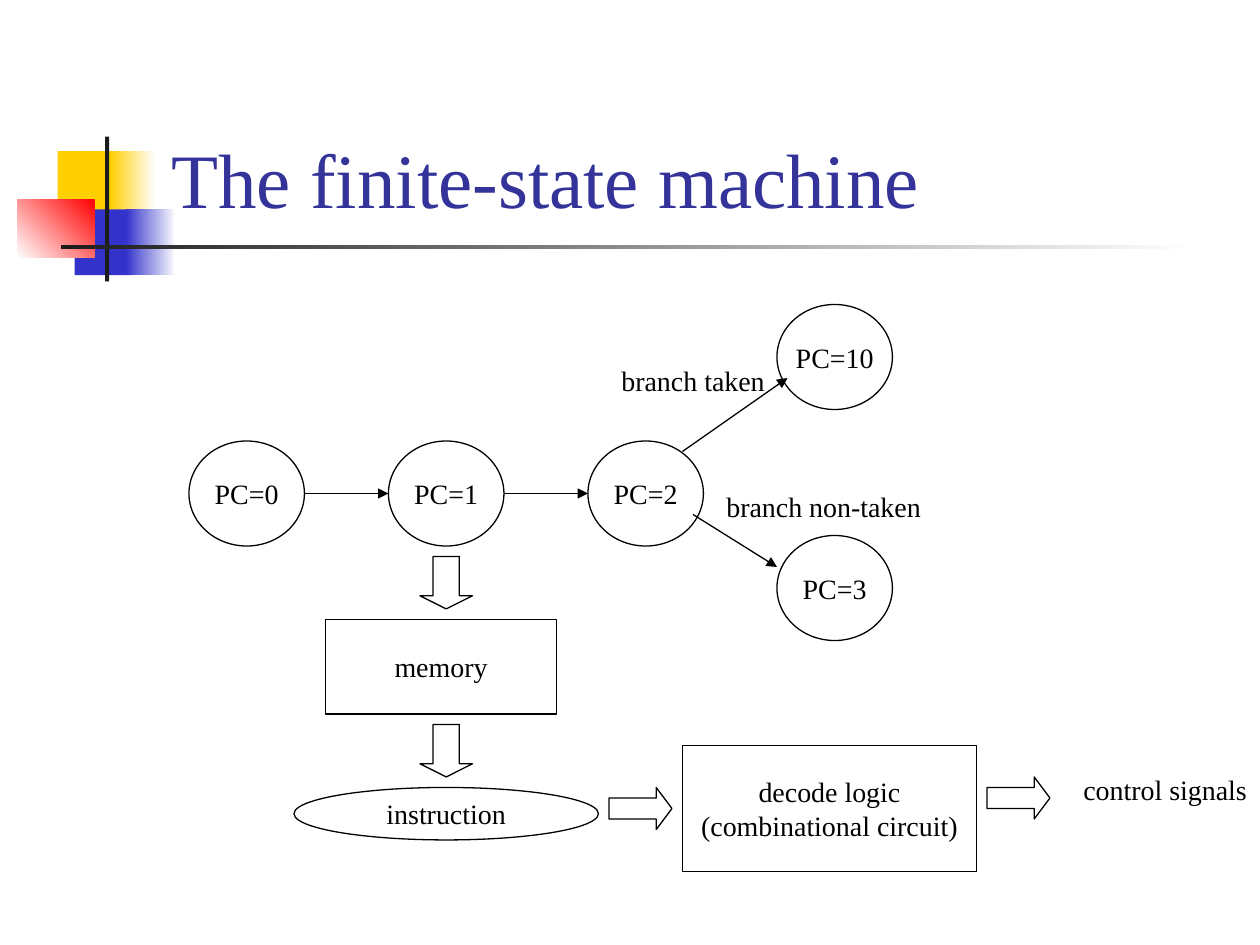
import pptx
import pptx.util
import pptx.dml.color
import pptx.enum.shapes
import pptx.enum.text
import pptx.oxml
import pptx.oxml.ns

Pt = pptx.util.Pt
RGBColor = pptx.dml.color.RGBColor
Kind = pptx.enum.shapes.MSO_SHAPE
Align = pptx.enum.text.PP_ALIGN
Anchor = pptx.enum.text.MSO_ANCHOR

BLACK = RGBColor(0x00, 0x00, 0x00)
WHITE = RGBColor(0xFF, 0xFF, 0xFF)
GOLD = RGBColor(0xFF, 0xCF, 0x01)
BLUE = RGBColor(0x33, 0x33, 0xCC)
RED = RGBColor(0xFF, 0x00, 0x00)
DARK = RGBColor(0x1C, 0x1C, 0x1C)
NAVY = RGBColor(0x33, 0x33, 0x99)


class Page:
    font = "Times New Roman"
    size = 16
    width = 0.75

    def __init__(self, deck):
        self.slide = deck.slides.add_slide(deck.slide_layouts[5])
        self.shapes = self.slide.shapes

    def words(self, frame, text, align, anchor, size=size, color=BLACK, wrap=False):
        frame.text = text
        frame.word_wrap = wrap
        frame.auto_size = pptx.enum.text.MSO_AUTO_SIZE.NONE
        frame.vertical_anchor = anchor
        for para in frame.paragraphs:
            para.alignment = align
            for run in para.runs:
                run.font.name = self.font
                run.font.size = Pt(size)
                run.font.color.rgb = color

    def title(self, text, *box):
        item = self.shapes.title
        item.left, item.top, item.width, item.height = map(Pt, box)
        self.words(item.text_frame, text, Align.LEFT, Anchor.BOTTOM, 44, NAVY, True)
        item._element.getparent().append(item._element)

    def plain(self, kind, *box):
        item = self.shapes.add_shape(kind, *map(Pt, box))
        item.shadow.inherit = False
        return item

    def block(self, color, *box):
        item = self.plain(Kind.RECTANGLE, *box)
        item.fill.solid()
        item.fill.fore_color.rgb = color
        item.line.fill.background()

    def fade(self, start, end, angle, *box):
        item = self.plain(Kind.RECTANGLE, *box)
        item.fill.gradient()
        item.fill.gradient_angle = angle
        for stop, color in zip(item.fill.gradient_stops, (start, end)):
            stop.color.rgb = color
        item.line.fill.background()

    def node(self, kind, text, *box):
        item = self.plain(kind, *box)
        item.fill.background()
        item.line.color.rgb = BLACK
        item.line.width = Pt(self.width)
        if text:
            self.words(item.text_frame, text, Align.CENTER, Anchor.MIDDLE)
        return item

    def arrow(self, kind, head, *box):
        item = self.node(kind, "", *box)
        item.adjustments[0] = 0.5
        item.adjustments[1] = head

    def line(self, *ends):
        straight = pptx.enum.shapes.MSO_CONNECTOR.STRAIGHT
        item = self.shapes.add_connector(straight, *map(Pt, ends))
        item.line.color.rgb = BLACK
        item.line.width = Pt(self.width)
        name = pptx.oxml.ns.qn
        props = item._element.spPr
        edge = props.find(name("a:ln"))
        edge.append(edge.makeelement(name("a:tailEnd"), {"type": "triangle"}))
        props.append(props.makeelement(name("a:effectLst"), {}))

    def label(self, text, *box):
        item = self.shapes.add_textbox(*map(Pt, box))
        self.words(item.text_frame, text, Align.LEFT, Anchor.TOP)


def main():
    deck = pptx.Presentation()
    deck.slide_width, deck.slide_height = Pt(720), Pt(540)
    page = Page(deck)

    page.block(GOLD, 33, 86.4, 34.5, 37.5)
    page.fade(WHITE, GOLD, 180, 62.6, 86.4, 26, 37.5)
    page.block(BLUE, 42.6, 119.7, 33, 37.5)
    page.fade(WHITE, BLUE, 180, 71.8, 119.7, 28.8, 37.5)
    page.fade(RED, WHITE, 225, 9.8, 113.8, 44.3, 33.3)
    page.block(DARK, 60, 78, 2.4, 82.8)
    page.fade(WHITE, DARK, 180, 34.8, 140.1, 648, 2.5)
    page.title("The finite-state machine", 90.7, 16.5, 613.5, 115.3)

    states = [("PC=0", 108, 252), ("PC=1", 222, 252), ("PC=2", 336, 252),
              ("PC=3", 444, 306), ("PC=10", 444, 174)]
    for text, left, top in states:
        page.node(Kind.OVAL, text, left, top, 66, 60)
    for ends in [(174, 282, 222, 282), (288, 282, 336, 282),
                 (396, 294, 444, 324), (390, 258, 450, 216)]:
        page.line(*ends)
    page.label("branch taken", 348, 204, 96.5, 26.6)
    page.label("branch non-taken", 408, 276, 125.3, 26.6)

    for top in (318, 414):
        page.arrow(Kind.DOWN_ARROW, 0.25, 240, top, 30, 30)
    page.node(Kind.RECTANGLE, "memory", 186, 354, 132, 54)
    page.node(Kind.OVAL, "instruction", 168, 450, 174, 30)
    page.node(Kind.RECTANGLE, "decode logic\n(combinational circuit)", 390, 426, 168, 72)
    for left, top in [(348, 450), (564, 444)]:
        page.arrow(Kind.RIGHT_ARROW, 0.375, left, top, 36, 24)
    page.label("control signals", 612, 438, 108, 26.6)

    deck.save("out.pptx")


if __name__ == "__main__":
    main()
